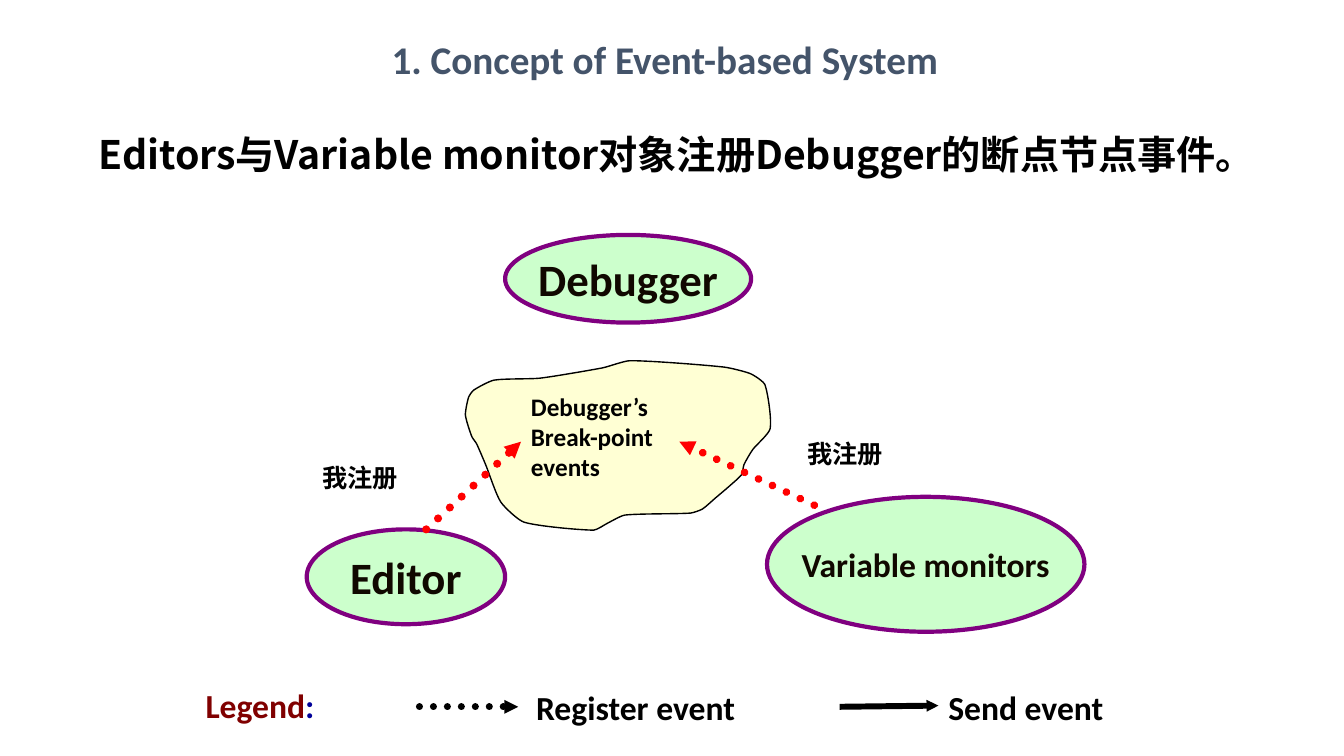
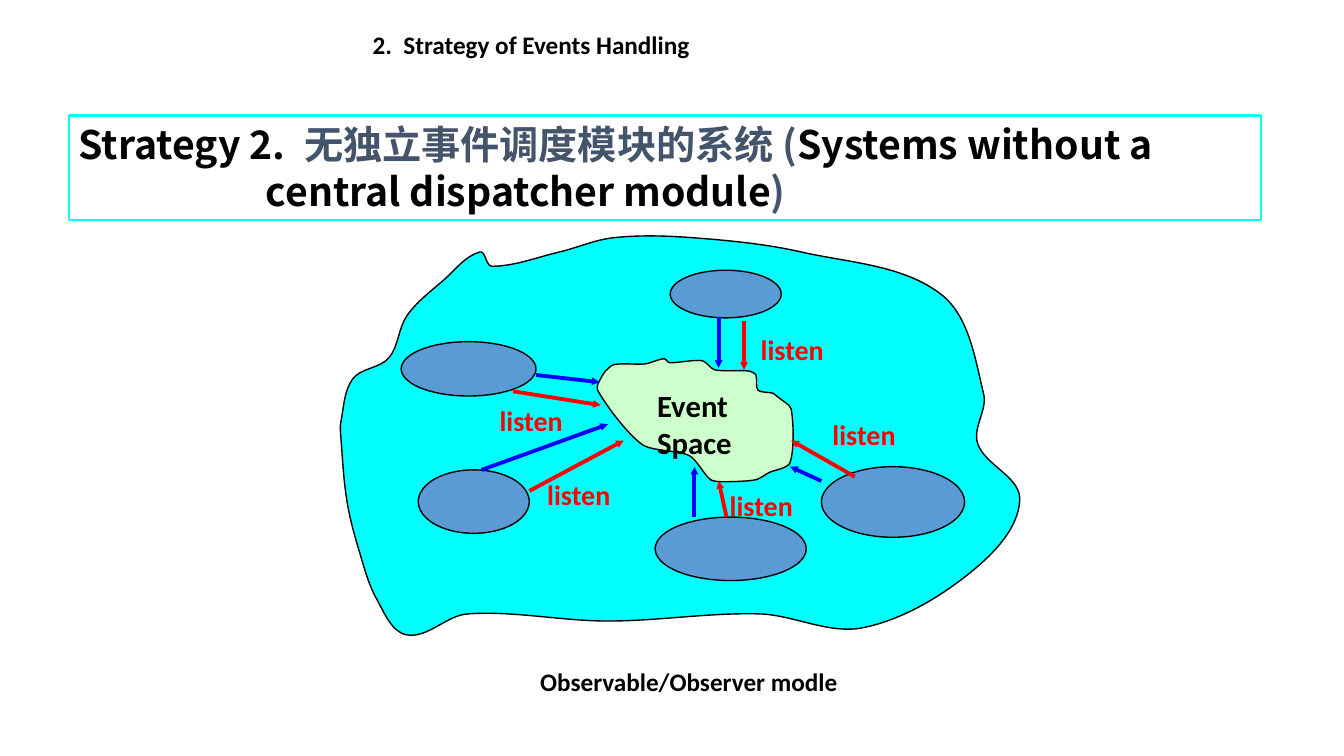
from math import hypot

from lxml.etree import SubElement
from pptx import Presentation
from pptx.dml.color import RGBColor
from pptx.enum.dml import MSO_LINE
from pptx.enum.shapes import MSO_CONNECTOR, MSO_SHAPE
from pptx.enum.text import MSO_ANCHOR, MSO_AUTO_SIZE, PP_ALIGN
from pptx.oxml.ns import qn
from pptx.util import Cm, Pt

# Shared look
COLORS = {
    "black": "000000", "slate": "44546A", "maroon": "800000", "navy": "000099",
    "node_text": "100800", "mint": "CCFFCC", "purple": "800080", "cream": "FFFF99",
    "red": "FF0000", "blue": "0000FF", "cyan": "00FFFF", "steel": "5B9BD5",
}
LATIN = "Calibri"
CHINESE = "Noto Sans CJK SC"

# Slide 1: event registration (lengths in cm)
CONCEPT_TITLE = "1. Concept of Event-based System"
CONCEPT_BODY = "Editors与Variable monitor对象注册Debugger的断点节点事件。"
OBJECTS = [  # text, size, box
    ("Debugger", 32, (12.73, 5.92, 6.2, 2.21)),
    ("Editor", 32, (7.73, 13.34, 5, 2.39)),
    ("Variable monitors", 24, (19.33, 12.52, 8, 3.4)),
]
BREAKPOINT_CLOUD = [
    (11.81, 10.01), (11.94, 9.83), (12.45, 9.58), (13.61, 9.53), (15.19, 9.27),
    (15.88, 9.09), (18.24, 9.25), (18.92, 9.42), (19.28, 9.7), (19.41, 10.8),
    (18.97, 11.33), (18.75, 11.71), (18.69, 11.96), (18.36, 12.27), (18.03, 12.55),
    (17.7, 12.83), (17.4, 12.93), (15.75, 12.98), (15.32, 13.18), (14.96, 13.36),
    (13.21, 13.16), (12.62, 12.65), (12.24, 11.71), (12.01, 11.18), (11.89, 11),
    (11.73, 10.46),
]
CLOUD_TEXT = ["Debugger’s", "Break-point events"]
REGISTRATIONS = [  # from, to, width
    ((20.52, 12.73), (17.12, 11.13), 5.5),
    ((10.74, 13.34), (13.13, 11.13), 5.75),
]
REGISTER_LABEL = "我注册"
REGISTER_LABEL_PLACES = [(8.13, 11.53), (20.35, 10.92)]
LEGEND_TEXTS = [  # runs, box
    ([("Legend", "maroon"), (":", "navy")], (4.93, 17.12, 4.29, 1.27)),
    ("Register event", (13.26, 17.17, 6.76, 1.27)),
    ("Send event", (23.65, 17.17, 5.18, 1.27)),
]
LEGEND_ARROWS = [  # from, to, width, dotted
    ((10.57, 17.81), (13.06, 17.81), 5, True),
    ((21.16, 17.81), (23.65, 17.78), 4.25, False),
]

# Slide 2: event space; a third value widens a run's letter spacing, in points
STRATEGY_TITLE = [("2.", "black"), (" ", "black", 4), ("Strategy of Events Handling", "black")]
STRATEGY_BODY = [
    [("Strategy 2.", "black"), (" ", "black", 7), ("无独立事件调度模块的系统 (", "slate"),
     ("Systems without a", "black")],
    [("central dispatcher module", "black"), (")", "slate")],
]
SYSTEM_OUTLINE = [
    (8.59, 11), (8.59, 10.64), (8.89, 9.55), (9.8, 9.02), (10.26, 7.95),
    (11.18, 7.06), (12.09, 6.35), (12.4, 6.71), (14.1, 6.35), (15.47, 5.99),
    (17.45, 5.99), (20.19, 6.35), (23.72, 7.42), (24.79, 9.93), (24.64, 11.18),
    (25.7, 12.6), (24.49, 14.4), (21.74, 15.82), (19.13, 15.47), (15.32, 15.65),
    (11.79, 15.47), (10.26, 16), (9.5, 15.11), (9.04, 13.84), (8.74, 12.6),
]
EVENT_SPACE_OUTLINE = [
    (15.06, 9.83), (16.18, 11.2), (17.37, 11.48), (17.91, 12.09), (18.26, 12.14),
    (19.05, 12.09), (19.38, 11.91), (19.91, 11.66), (19.94, 10.31), (19.61, 10.01),
    (19.48, 9.91), (19.1, 9.83), (19.05, 9.45), (18.87, 9.35), (18.01, 9.32),
    (17.7, 9.09), (16.87, 9.14), (16.74, 9.04), (16.26, 9.17), (15.47, 9.19),
    (15.21, 9.42),
]
MODULES = [  # each module's box, send arrow, listen arrow, label place
    {"box": (10.54, 11.84, 2.8, 1.6), "send": ((12.14, 11.84), (15.32, 10.69)),
     "listen": ((13.34, 12.37), (15.72, 11.1)), "label": (13.54, 11.91)},
    {"box": (10.11, 8.61, 3.4, 1.37), "send": ((13.51, 9.45), (15.11, 9.63)),
     "listen": ((12.93, 9.86), (15.14, 10.21)), "label": (12.34, 10.03)},
    {"box": (16.89, 6.81, 2.8, 1.2), "send": ((18.11, 8), (18.11, 9.27)),
     "listen": ((18.75, 8.08), (18.75, 9.32)), "label": (18.92, 8.26)},
    {"box": (16.51, 13.03, 3.81, 1.6), "send": ((17.5, 13.03), (17.5, 11.76)),
     "listen": ((18.31, 13.03), (18.11, 12.12)), "label": (18.14, 12.19)},
    {"box": (20.7, 11.76, 3.61, 1.78), "send": ((20.7, 12.12), (19.91, 11.76)),
     "listen": ((21.54, 12.01), (19.94, 11.1)), "label": (20.73, 10.39)},
]
STRATEGY_CAPTION = "Observable/Observer modle"


def color(name):
    return RGBColor.from_string(COLORS[name])


def write_text(shape, paragraphs, *, size, font=LATIN, ink="black", align=PP_ALIGN.LEFT,
               anchor=MSO_ANCHOR.TOP, wrap=True, side_margin=0.25, spacing=1.0,
               indents=()):
    """Fill a shape; a paragraph is a string or a list of (text, colour, spacing)."""
    frame = shape.text_frame
    frame.auto_size = MSO_AUTO_SIZE.NONE
    frame.word_wrap = wrap
    frame.vertical_anchor = anchor
    frame.margin_left = frame.margin_right = Cm(side_margin)
    frame.margin_top = frame.margin_bottom = Cm(0.13)
    for index, content in enumerate(paragraphs):
        paragraph = frame.paragraphs[0] if index == 0 else frame.add_paragraph()
        paragraph.alignment = align
        paragraph.line_spacing = spacing
        paragraph.space_before = Pt(0)
        properties = paragraph._p.get_or_add_pPr()
        indent = indents[index] if indents else 0
        properties.set("marL", str(Cm(indent)))
        properties.set("indent", "0")
        SubElement(properties, qn("a:buNone"))
        runs = [(content, ink)] if isinstance(content, str) else content
        for text, run_ink, *letter_spacing in runs:
            run = paragraph.add_run()
            run.text = text
            run.font.size = Pt(size)
            run.font.bold = True
            run.font.name = font
            run.font.color.rgb = color(run_ink)
            run_properties = run._r.get_or_add_rPr()
            SubElement(run_properties, qn("a:ea"), typeface=font)
            if letter_spacing:
                run_properties.set("spc", str(letter_spacing[0] * 100))


def place(shape, box):
    shape.left, shape.top, shape.width, shape.height = map(Cm, box)


def add_text(slide, box, paragraphs, **text_format):
    write_text(slide.shapes.add_textbox(*map(Cm, box)), paragraphs, **text_format)


def paint(shape, fill, line, width):
    shape.shadow.inherit = False
    shape.fill.solid()
    shape.fill.fore_color.rgb = color(fill)
    shape.line.color.rgb = color(line)
    shape.line.width = Pt(width)


def add_ellipse(slide, box, fill, line, width):
    shape = slide.shapes.add_shape(MSO_SHAPE.OVAL, *map(Cm, box))
    paint(shape, fill, line, width)
    return shape


def add_arrow(slide, start, end, ink, width, dotted=False):
    connector = slide.shapes.add_connector(MSO_CONNECTOR.STRAIGHT, *map(Cm, start + end))
    connector.line.color.rgb = color(ink)
    connector.line.width = Pt(width)
    line = connector.line._get_or_add_ln()
    if dotted:
        connector.line.dash_style = MSO_LINE.ROUND_DOT
        line.set("cap", "rnd")
    SubElement(line, qn("a:tailEnd"), type="triangle", w="sm", len="sm")
    SubElement(connector._element.spPr, qn("a:effectLst"))


def curve_handles(points, reach):
    """Give both handles of each side; they follow the line between neighbours."""
    count = len(points)
    directions = []
    for index in range(count):
        before, after = points[index - 1], points[(index + 1) % count]
        dx, dy = after[0] - before[0], after[1] - before[1]
        directions.append((dx / hypot(dx, dy), dy / hypot(dx, dy)))
    for index, start in enumerate(points):
        following = (index + 1) % count
        end = points[following]
        length = reach * hypot(end[0] - start[0], end[1] - start[1])
        yield (tuple(start[axis] + length * directions[index][axis] for axis in (0, 1)),
               tuple(end[axis] - length * directions[following][axis] for axis in (0, 1)))


def add_cloud(slide, points, fill, reach=0.33, opacity=None):
    corners = [(Cm(x), Cm(y)) for x, y in points]
    builder = slide.shapes.build_freeform(*corners[0])
    builder.add_line_segments(corners[1:] + corners[:1], close=True)
    shape = builder.convert_to_shape()
    paint(shape, fill, "black", 1)
    # Bend each straight side into a curve
    sides = list(shape._element.iter(qn("a:lnTo")))
    for side, handles in zip(sides, curve_handles(points, reach)):
        side.tag = qn("a:cubicBezTo")
        for position, (x, y) in enumerate(handles):
            handle = SubElement(side, qn("a:pt"), x=str(Cm(x) - shape.left),
                                y=str(Cm(y) - shape.top))
            side.insert(position, handle)
    if opacity:
        fill_color = shape._element.spPr.find(qn("a:solidFill"))[0]
        SubElement(fill_color, qn("a:alpha"), val=str(opacity * 1000))


def start_slide(presentation, title, title_box, body, body_box, title_format, body_format):
    slide = presentation.slides.add_slide(presentation.slide_layouts[1])
    heading, content = slide.placeholders
    place(heading, title_box)
    write_text(heading, [title], **title_format)
    place(content, body_box)
    write_text(content, body, size=28, font=CHINESE, **body_format)
    return slide, content


def build_concept(presentation):
    slide, _ = start_slide(
        presentation, CONCEPT_TITLE, (5.13, 0.76, 23.24, 1.55),
        [CONCEPT_BODY], (2.24, 3.29, 29.77, 1.35),
        {"size": 28, "ink": "slate", "align": PP_ALIGN.CENTER}, {"spacing": 0.9})
    # Objects and the event cloud
    for text, size, box in OBJECTS:
        ellipse = add_ellipse(slide, box, "mint", "purple", 3)
        write_text(ellipse, [text], size=size, ink="node_text", align=PP_ALIGN.CENTER,
                   anchor=MSO_ANCHOR.MIDDLE, wrap=False)
    add_cloud(slide, BREAKPOINT_CLOUD, "cream", reach=0.2, opacity=42)
    add_text(slide, (13.13, 9.72, 4.6, 2.54), CLOUD_TEXT, size=18)
    # Registrations
    for start, end, width in REGISTRATIONS:
        add_arrow(slide, start, end, "red", width, dotted=True)
    for left, top in REGISTER_LABEL_PLACES:
        add_text(slide, (left, top, 3.2, 1.02), [REGISTER_LABEL], size=18,
                 font=CHINESE, side_margin=0)
    # Legend
    for text, box in LEGEND_TEXTS:
        add_text(slide, box, [text], size=24)
    for start, end, width, dotted in LEGEND_ARROWS:
        add_arrow(slide, start, end, "black", width, dotted)


def build_strategy(presentation):
    slide, strategy_box = start_slide(
        presentation, STRATEGY_TITLE, (9.14, 0.6, 16.21, 1.02),
        STRATEGY_BODY, (1.73, 2.91, 30.05, 2.64),
        {"size": 18}, {"indents": (0, 4.72)})
    strategy_box.line.color.rgb = color("cyan")
    strategy_box.line.width = Pt(1.5)
    # System, modules and event space
    add_cloud(slide, SYSTEM_OUTLINE, "cyan")
    for module in MODULES:
        add_ellipse(slide, module["box"], "steel", "black", 1)
    add_cloud(slide, EVENT_SPACE_OUTLINE, "mint", reach=0.25)
    add_text(slide, (16.31, 9.62, 2.8, 2.11), ["Event Space"], size=22)
    # Arrows and labels
    for module in MODULES:
        add_arrow(slide, *module["send"], "blue", 2.75)
        add_arrow(slide, *module["listen"], "red", 2.75)
        add_text(slide, module["label"] + (2.59, 1.09), ["listen"], size=20, ink="red")
    add_text(slide, (8.38, 16.66, 17.96, 1.02), [STRATEGY_CAPTION], size=18,
             align=PP_ALIGN.CENTER)


def main():
    presentation = Presentation()
    presentation.slide_width, presentation.slide_height = Cm(33.87), Cm(19.05)
    build_concept(presentation)
    build_strategy(presentation)
    presentation.save("out.pptx")


if __name__ == "__main__":
    main()
